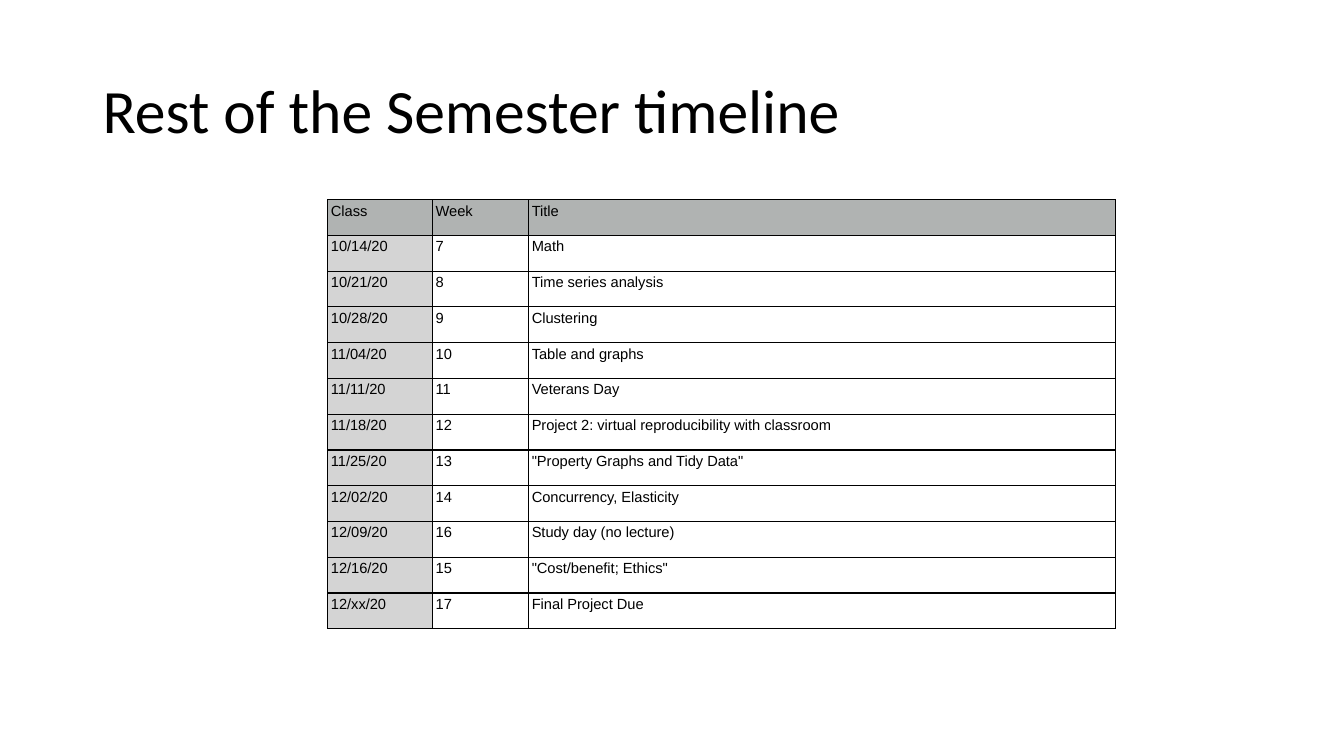
from lxml.etree import SubElement
from pptx import Presentation
from pptx.dml.color import RGBColor
from pptx.enum.text import MSO_ANCHOR, PP_ALIGN
from pptx.oxml.ns import qn
from pptx.util import Cm, Pt

BLACK = RGBColor(0x00, 0x00, 0x00)
HEADER_GREY = RGBColor(0xB0, 0xB3, 0xB2)
DATE_GREY = RGBColor(0xD4, 0xD4, 0xD4)

TITLE_BOX = (Cm(2.33), Cm(1.01), Cm(29.21), Cm(3.68))
TABLE_BOX = (Cm(8.26), Cm(5.03), Cm(19.85), Cm(10.82))
COLUMN_SHARES = (0.133, 0.122, 0.745)

TITLE_FONT = {"name": "Calibri", "size": Pt(44), "bold": False}
CELL_FONT = {"name": "Arial", "size": Pt(10.5), "bold": False}
TITLE_FRAME = {"vertical_anchor": MSO_ANCHOR.MIDDLE, "word_wrap": True}
TITLE_PARAGRAPH = {"alignment": PP_ALIGN.LEFT, "line_spacing": 0.9}
CELL_MARGINS = {
    f"margin_{side}": Cm(0.08) for side in ("left", "right", "top", "bottom")
}

TIMELINE = (
    ("Class", "Week", "Title"),
    ("10/14/20", "7", "Math"),
    ("10/21/20", "8", "Time series analysis"),
    ("10/28/20", "9", "Clustering"),
    ("11/04/20", "10", "Table and graphs"),
    ("11/11/20", "11", "Veterans Day"),
    ("11/18/20", "12", "Project 2: virtual reproducibility with classroom"),
    ("11/25/20", "13", '"Property Graphs and Tidy Data"'),
    ("12/02/20", "14", "Concurrency, Elasticity"),
    ("12/09/20", "16", "Study day (no lecture)"),
    ("12/16/20", "15", '"Cost/benefit; Ethics"'),
    ("12/xx/20", "17", "Final Project Due"),
)


def apply_format(target, values):
    """Set every attribute named in values on the target."""
    for name, value in values.items():
        setattr(target, name, value)


def write_text(para, text, font):
    """Add black text in the given font to a paragraph."""
    span = para.add_run()
    span.text = text
    apply_format(span.font, font)
    span.font.color.rgb = BLACK


def add_borders(cell):
    """Draw a thin black line on all four sides of a cell."""
    properties = cell._tc.get_or_add_tcPr()
    for side in ("lnL", "lnR", "lnT", "lnB"):
        line = SubElement(properties, qn(f"a:{side}"), w=str(Pt(1)))
        fill = SubElement(line, qn("a:solidFill"))
        SubElement(fill, qn("a:srgbClr"), val=str(BLACK))


def paint_cell(cell, color):
    """Fill a cell with a colour, or leave it clear when there is none."""
    if color is None:
        cell.fill.background()
    else:
        cell.fill.solid()
        cell.fill.fore_color.rgb = color


def add_title(page, box, text):
    """Place the title placeholder in the box and write the heading."""
    title = page.shapes.title
    apply_format(title, dict(zip(("left", "top", "width", "height"), box)))
    apply_format(title.text_frame, TITLE_FRAME)
    para = title.text_frame.paragraphs[0]
    apply_format(para, TITLE_PARAGRAPH)
    write_text(para, text, TITLE_FONT)


def add_timeline(page, box, entries):
    """Place the timeline table in the box with equal row heights."""
    left, top, width, height = box
    frame = page.shapes.add_table(
        len(entries), len(COLUMN_SHARES), left, top, width, height
    )
    table = frame.table
    apply_format(table, {"first_row": True, "horz_banding": False})
    for column, share in zip(table.columns, COLUMN_SHARES):
        column.width = int(width * share)
    for row_index, (row, entry) in enumerate(zip(table.rows, entries)):
        row.height = height // len(entries)
        for column_index, (cell, text) in enumerate(zip(row.cells, entry)):
            body_color = DATE_GREY if column_index == 0 else None
            apply_format(cell, CELL_MARGINS)
            add_borders(cell)
            paint_cell(cell, HEADER_GREY if row_index == 0 else body_color)
            write_text(cell.text_frame.paragraphs[0], text, CELL_FONT)


def main():
    """Build the semester timeline slide."""
    deck = Presentation()
    apply_format(deck, {"slide_width": Cm(33.87), "slide_height": Cm(19.05)})
    page = deck.slides.add_slide(deck.slide_layouts[5])
    add_title(page, TITLE_BOX, "Rest of the Semester timeline")
    add_timeline(page, TABLE_BOX, TIMELINE)
    deck.save("out.pptx")


if __name__ == "__main__":
    main()
